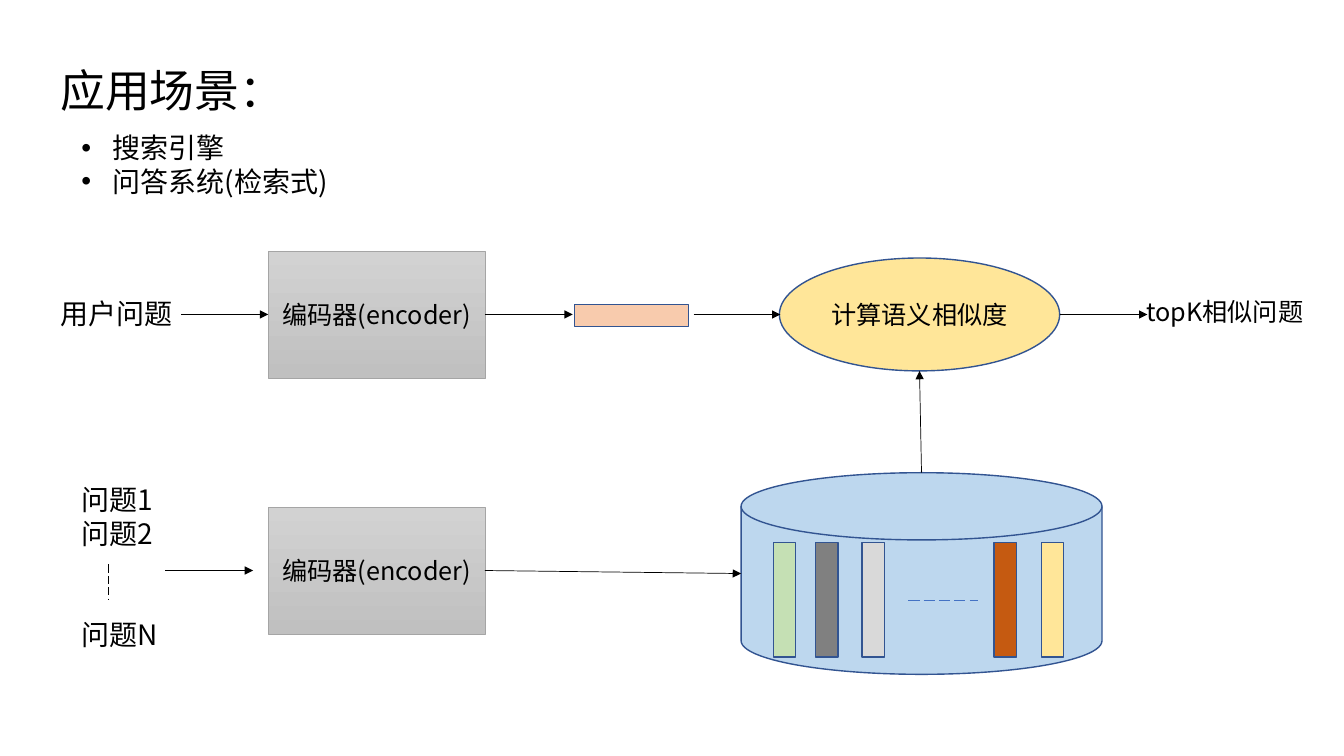
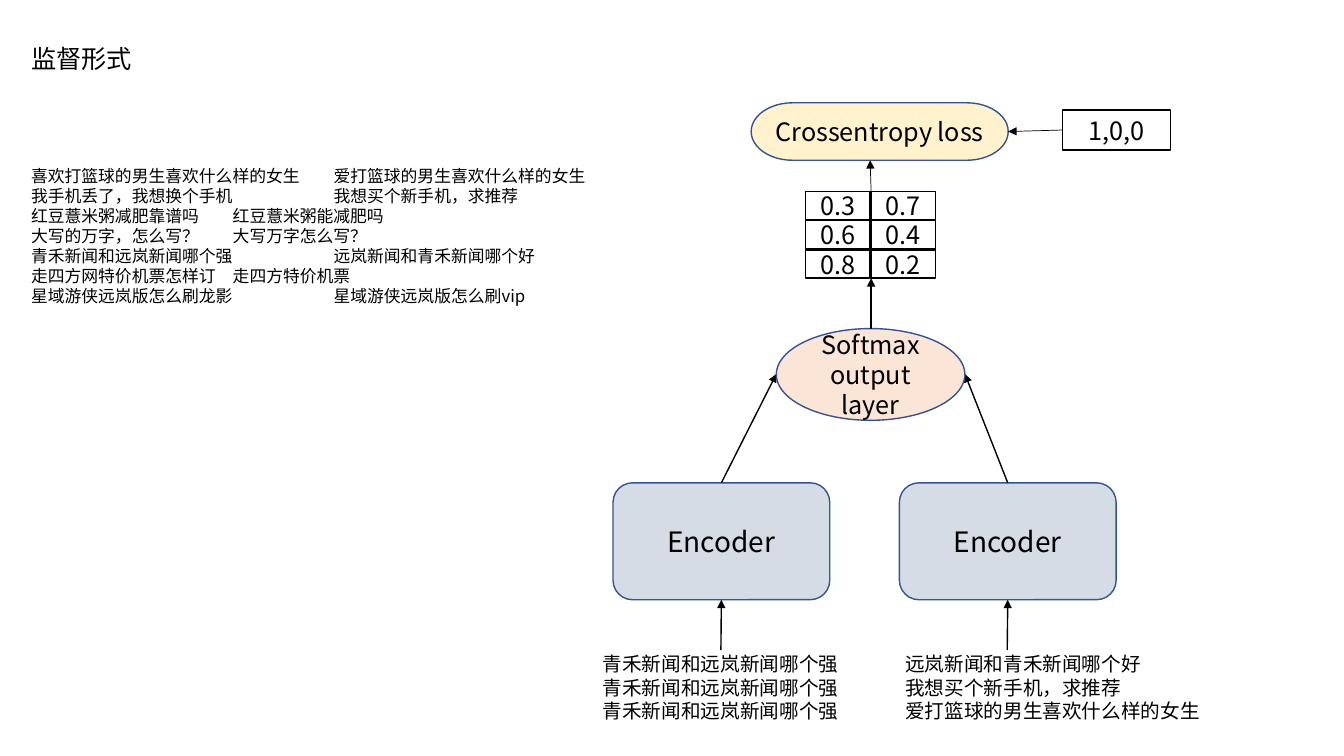
import dataclasses

import lxml.etree
import pptx
import pptx.dml.color
import pptx.enum.dml
import pptx.enum.shapes
import pptx.enum.text
import pptx.oxml.ns
import pptx.util

SHAPE = pptx.enum.shapes.MSO_SHAPE
TOP, LEFT, BOTTOM, RIGHT = range(4)
EMU_PER_PX = 9144
SLIDE_SIZE = (1333, 750)
TAB_PITCH = 100


@dataclasses.dataclass(frozen=True)
class Theme:
    font: str = "Noto Sans CJK SC"
    ink: str = "000000"
    paper: str = "FFFFFF"
    outline: str = "325491"
    dash_blue: str = "4472C4"
    gray_outline: str = "A5A5A5"
    gray_light: str = "D2D2D2"
    gray_dark: str = "C0C0C0"
    store: str = "BDD7EE"
    query_vector: str = "F8CBAD"
    similarity: str = "FFE699"
    encoder: str = "D6DCE5"
    softmax: str = "FBE5D6"
    loss: str = "FFF2CC"
    vectors: tuple = ("C5E0B4", "808080", "D9D9D9", "C55A11", "FFE699")
    title: int = 32
    large: int = 20
    body: int = 18
    small: int = 14
    tiny: int = 12
    line_height: float = 1.2
    thin: float = 0.5
    medium: float = 0.75
    regular: float = 1


THEME = Theme()


def px(value):
    return pptx.util.Emu(round(value * EMU_PER_PX))


def rgb(color):
    return pptx.dml.color.RGBColor.from_string(color)


def add_xml(parent, tag, **attributes):
    return lxml.etree.SubElement(parent, pptx.oxml.ns.qn(tag), attributes)


def add_run(paragraph, text, size):
    run = paragraph.add_run()
    run.text = text
    run.font.size = pptx.util.Pt(size)
    run.font.color.rgb = rgb(THEME.ink)
    run.font.name = THEME.font
    add_xml(run.font._element, "a:ea", typeface=THEME.font)


def write_lines(text_frame, lines, size, centered=False):
    """Write one paragraph per line and return the paragraphs."""
    for index, line in enumerate(lines):
        paragraph = text_frame.add_paragraph() if index else text_frame.paragraphs[0]
        paragraph.line_spacing = pptx.util.Pt(size * THEME.line_height)
        if centered:
            paragraph.alignment = pptx.enum.text.PP_ALIGN.CENTER
        add_run(paragraph, line, size)
    return text_frame.paragraphs


def add_text(slide, box, lines, size):
    text_box = slide.shapes.add_textbox(*map(px, box))
    text_box.text_frame.word_wrap = True
    return write_lines(text_box.text_frame, lines, size)


def add_tabbed_text(slide, box, lines, size):
    """Add text whose tabs stop at every multiple of the tab pitch."""
    for paragraph in add_text(slide, box, lines, size):
        properties = paragraph._p.get_or_add_pPr()
        properties.set("defTabSz", str(px(TAB_PITCH)))
        stops = add_xml(properties, "a:tabLst")
        for number in range(1, 7):
            add_xml(stops, "a:tab", pos=str(px(TAB_PITCH * number)), algn="l")


def add_bullet(paragraph, indent=31):
    properties = paragraph._p.get_or_add_pPr()
    properties.set("marL", str(px(indent)))
    properties.set("indent", str(-px(indent)))
    add_xml(properties, "a:buFont", typeface="Arial")
    add_xml(properties, "a:buChar", char="•")


def add_node(slide, kind, box, fill, text="", size=THEME.body,
             outline=THEME.outline, width=THEME.regular):
    """Add an outlined shape; a pair of fill colours gives a vertical gradient."""
    shape = slide.shapes.add_shape(kind, *map(px, box))
    shape.shadow.inherit = False
    if isinstance(fill, tuple):
        shape.fill.gradient()
        shape.fill.gradient_angle = 270
        for stop, color in zip(shape.fill.gradient_stops, fill):
            stop.color.rgb = rgb(color)
    else:
        shape.fill.solid()
        shape.fill.fore_color.rgb = rgb(fill)
    shape.line.color.rgb = rgb(outline)
    shape.line.width = pptx.util.Pt(width)
    if text:
        frame = shape.text_frame
        frame.word_wrap = True
        frame.margin_left = frame.margin_right = px(5)
        frame.vertical_anchor = pptx.enum.text.MSO_ANCHOR.MIDDLE
        write_lines(frame, [text], size, centered=True)
    return shape


def add_line(slide, start, end, width=THEME.thin, color=THEME.ink):
    """Join two ends, each given as (x, y) or as (shape, side)."""
    glued = [not isinstance(point[0], int) for point in (start, end)]
    corners = [(0, 0) if is_glued else point
               for is_glued, point in zip(glued, (start, end))]
    connector = slide.shapes.add_connector(
        pptx.enum.shapes.MSO_CONNECTOR.STRAIGHT,
        *(px(value) for corner in corners for value in corner))
    if glued[0]:
        connector.begin_connect(*start)
    if glued[1]:
        connector.end_connect(*end)
    connector.line.color.rgb = rgb(color)
    connector.line.width = pptx.util.Pt(width)
    add_xml(connector._element.spPr, "a:effectLst")
    return connector


def add_arrow(slide, start, end, width=THEME.thin):
    connector = add_line(slide, start, end, width)
    add_xml(connector.line._get_or_add_ln(), "a:tailEnd", type="triangle")


def add_dashes(slide, start, end, width, color=THEME.ink):
    connector = add_line(slide, start, end, width, color)
    connector.line.dash_style = pptx.enum.dml.MSO_LINE.LONG_DASH


def build_scenario_slide(slide):
    add_text(slide, (50, 57, 323, 64), ["应用场景："], THEME.title)
    for paragraph in add_text(slide, (71, 125, 652, 77),
                              ["搜索引擎", "问答系统(检索式)"], THEME.large):
        add_bullet(paragraph)

    add_node(slide, SHAPE.FLOWCHART_MAGNETIC_DISK, (735, 469, 358, 200), THEME.store)
    for left, color in zip((767, 809, 855, 986, 1033), THEME.vectors):
        add_node(slide, SHAPE.RECTANGLE, (left, 538, 22, 114), color)
    add_dashes(slide, (901, 596), (970, 596), THEME.regular, THEME.dash_blue)

    query_encoder, question_encoder = [
        add_node(slide, SHAPE.RECTANGLE, (266, top, 215, 126),
                 (THEME.gray_light, THEME.gray_dark), "编码器(encoder)",
                 outline=THEME.gray_outline, width=THEME.thin)
        for top in (249, 503)]
    add_node(slide, SHAPE.RECTANGLE, (570, 302, 113, 22), THEME.query_vector)
    add_node(slide, SHAPE.OVAL, (773, 256, 278, 112), THEME.similarity, "计算语义相似度")

    add_text(slide, (50, 289, 292, 44), ["用户问题"], THEME.large)
    add_text(slide, (1127, 289, 186, 40), ["topK相似问题"], THEME.body)
    questions = add_text(slide, (71, 474, 292, 178),
                         ["问题1", "问题2", "问题N"], THEME.large)
    questions[-1].space_before = pptx.util.Pt(2 * THEME.large * THEME.line_height)
    add_dashes(slide, (108, 560), (108, 595), THEME.medium)

    for start, end in (
            ((180, 312), (query_encoder, LEFT)),
            ((query_encoder, RIGHT), (568, 312)),
            ((688, 312), (774, 312)),
            ((1051, 312), (1138, 312)),
            ((164, 566), (251, 566)),
            ((question_encoder, RIGHT), (735, 569)),
            ((914, 469), (912, 368))):
        add_arrow(slide, start, end)


def build_supervision_slide(slide):
    add_text(slide, (21, 38, 218, 40), ["监督形式"], THEME.body)
    add_tabbed_text(slide, (21, 159, 669, 151), [
        "喜欢打篮球的男生喜欢什么样的女生\t爱打篮球的男生喜欢什么样的女生",
        "我手机丢了，我想换个手机\t我想买个新手机，求推荐",
        "红豆薏米粥减肥靠谱吗\t红豆薏米粥能减肥吗",
        "大写的万字，怎么写？\t大写万字怎么写？",
        "青禾新闻和远岚新闻哪个强\t远岚新闻和青禾新闻哪个好",
        "走四方网特价机票怎样订\t走四方特价机票",
        "星域游侠远岚版怎么刷龙影\t星域游侠远岚版怎么刷vip",
    ], THEME.tiny)
    second_questions = ("远岚新闻和青禾新闻哪个好", "我想买个新手机，求推荐",
                        "爱打篮球的男生喜欢什么样的女生")
    add_tabbed_text(
        slide, (588, 642, 714, 104),
        [f"青禾新闻和远岚新闻哪个强\t{question}" for question in second_questions],
        THEME.small)

    for left, softmax_side in ((608, 770), (892, 957)):
        encoder = add_node(slide, SHAPE.ROUNDED_RECTANGLE, (left, 479, 215, 116),
                           THEME.encoder, "Encoder", THEME.large)
        add_arrow(slide, (left + 107, 645), (encoder, BOTTOM), THEME.regular)
        add_arrow(slide, (encoder, TOP), (softmax_side, 371), THEME.regular)
    add_node(slide, SHAPE.OVAL, (770, 326, 187, 91), THEME.softmax,
             "Softmax output layer")

    probabilities = (("0.3", "0.7"), ("0.6", "0.4"), ("0.8", "0.2"))
    for row, values in enumerate(probabilities):
        for column, value in enumerate(values):
            add_node(slide, SHAPE.RECTANGLE,
                     (799 + 65 * column, 190 + 29 * row, 64, 28),
                     THEME.paper, value, outline=THEME.ink)
    add_arrow(slide, (864, 326), (864, 276), THEME.regular)
    add_arrow(slide, (864, 190), (863, 159))

    loss = add_node(slide, SHAPE.FLOWCHART_TERMINATOR, (745, 102, 255, 57),
                    THEME.loss, "Crossentropy loss")
    target = add_node(slide, SHAPE.RECTANGLE, (1054, 109, 107, 40),
                      THEME.paper, "1,0,0", outline=THEME.ink)
    add_arrow(slide, (target, LEFT), (loss, RIGHT))


def main():
    presentation = pptx.Presentation()
    presentation.slide_width, presentation.slide_height = map(px, SLIDE_SIZE)
    blank_layout = presentation.slide_layouts[6]
    for build in (build_scenario_slide, build_supervision_slide):
        build(presentation.slides.add_slide(blank_layout))
    presentation.save("out.pptx")


if __name__ == "__main__":
    main()
